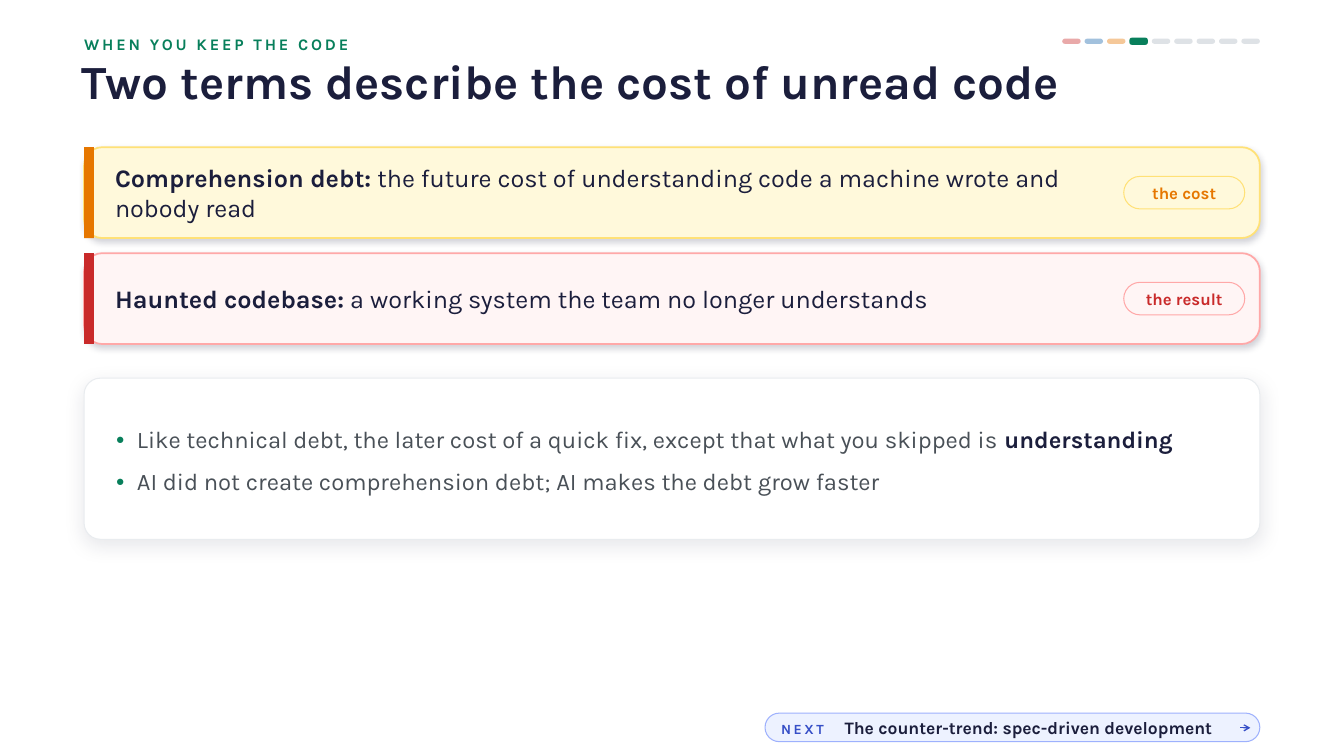
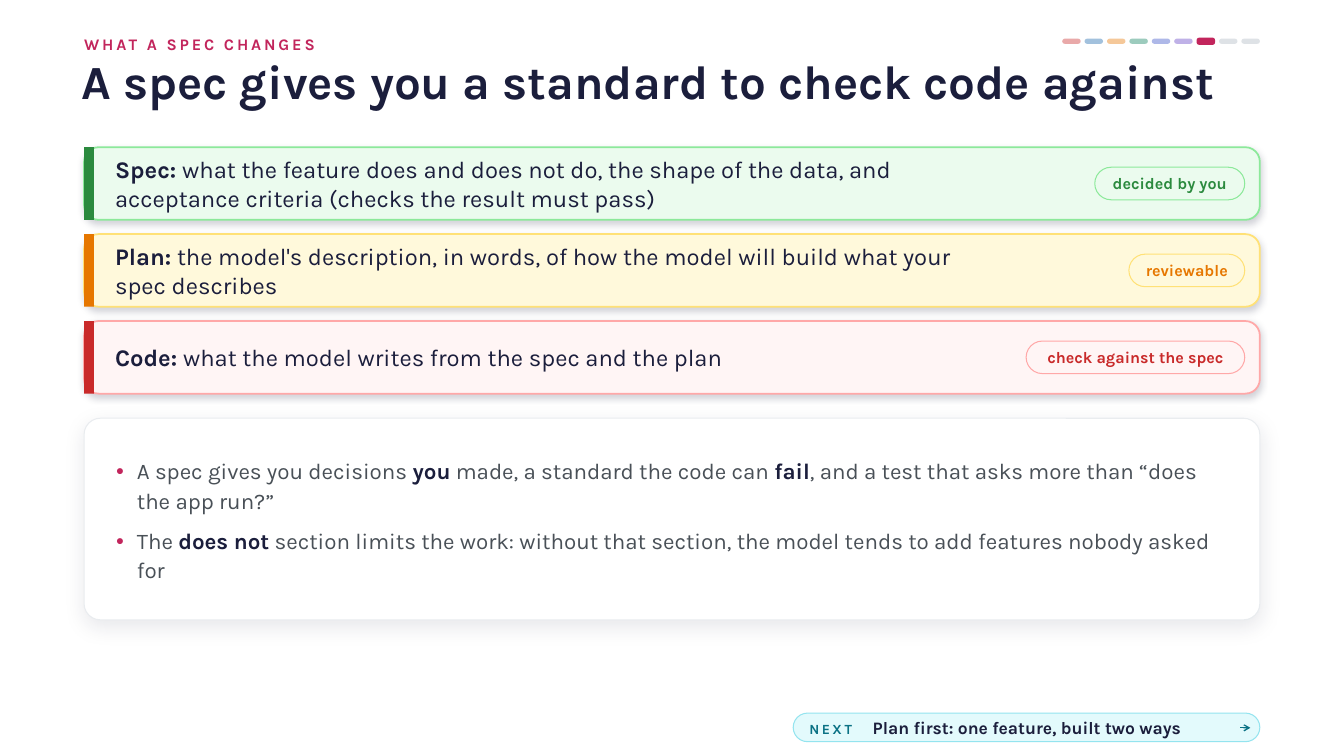
"""Build two slides about unread code and specs."""
from lxml.etree import SubElement
from pptx import Presentation
from pptx.dml.color import RGBColor as Rgb
from pptx.enum.shapes import MSO_CONNECTOR as Link, MSO_SHAPE as Form
from pptx.enum.text import MSO_ANCHOR as Anchor, MSO_AUTO_SIZE as Fit, PP_ALIGN as Align
from pptx.oxml.ns import qn
from pptx.util import Cm, Pt

FONT = "Karla"
COLORS = {
    "ink": "1B1E3C", "body": "495057", "white": "FFFFFF", "edge": "E9ECEF", "idle": "DEE2E6",
    "red": "C92A2A", "blue": "1864AB", "orange": "E67700", "teal": "087F5B",
    "indigo": "364FC7", "violet": "5F3DC4", "pink": "C2255C", "green": "2B8A3E",
    "cyan": "0B7285", "red_fill": "FFF5F5", "red_edge": "FFA8A8",
    "orange_fill": "FFF9DB", "orange_edge": "FFE176", "green_fill": "EBFBEE",
    "green_edge": "8CE99A", "indigo_fill": "EDF2FF", "indigo_edge": "9EB1FD",
    "cyan_fill": "E3FAFC", "cyan_edge": "94E4EF",
}
TOPICS = ["red", "blue", "orange", "teal", "indigo", "violet", "pink"]
STEPS = 9
LEFT, RIGHT = 2.12, 31.75
WIDTH = RIGHT - LEFT

PAGES = [
    {
        "title": "Two terms describe the cost of unread code",
        "eyebrow": "WHEN YOU KEEP THE CODE", "topic": "teal",
        "cards": [
            ("orange", "Comprehension debt:",
             " the future cost of understanding code a machine wrote and nobody read",
             "the cost", 3.05),
            ("red", "Haunted codebase:", " a working system the team no longer understands",
             "the result", 3.05),
        ],
        "card": {"height": 2.29, "text_width": 24.38, "size": 18, "pill_size": 12},
        "gap": 0.38,
        "panel": {"top": 9.53, "height": 4.06, "size": 17},
        "points": [
            ["Like technical debt, the later cost of a quick fix, except that what you skipped is ",
             "understanding"],
            ["AI did not create comprehension debt; AI makes the debt grow faster"],
        ],
        "next": ("The counter-trend: spec-driven development", "indigo", 12.47),
    },
    {
        "title": "A spec gives you a standard to check code against",
        "eyebrow": "WHAT A SPEC CHANGES", "topic": "pink",
        "cards": [
            ("green", "Spec:",
             " what the feature does and does not do, the shape of the data, and acceptance "
             "criteria (checks the result must pass)", "decided by you", 3.78),
            ("orange", "Plan:",
             " the model's description, in words, of how the model will build what your spec "
             "describes", "reviewable", 2.92),
            ("red", "Code:", " what the model writes from the spec and the plan",
             "check against the spec", 5.51),
        ],
        "card": {"height": 1.83, "text_width": 21.84, "size": 17, "pill_size": 11.5},
        "gap": 0.36,
        "panel": {"top": 10.54, "height": 5.08, "size": 16},
        "points": [
            ["A spec gives you decisions ", "you", " made, a standard the code can ", "fail",
             ", and a test that asks more than “does the app run?”"],
            ["The ", "does not", " section limits the work: without that section, the model "
             "tends to add features nobody asked for"],
        ],
        "next": ("Plan first: one feature, built two ways", "cyan", 11.76),
    },
]


def rgb(name):
    """Return the named colour."""
    return Rgb.from_string(COLORS[name])


def write(para, text, size=18, color="ink", bold=False, spacing=0):
    """Add a formatted span of text to a paragraph."""
    span = para.add_run()
    span.text = text
    font = span.font
    font.name, font.size, font.bold = FONT, Pt(size), bold
    font.color.rgb = rgb(color)
    if spacing:
        font._element.set("spc", str(round(spacing * 100)))


def prepare(box, align=Align.LEFT, wrap=True, left=0, right=0):
    """Set up the text frame of a box and return its first paragraph."""
    frame = box.text_frame
    frame.auto_size, frame.word_wrap = Fit.NONE, wrap
    frame.vertical_anchor = Anchor.MIDDLE
    frame.margin_left, frame.margin_right = Cm(left), Cm(right)
    frame.margin_top = frame.margin_bottom = 0
    para = frame.paragraphs[0]
    para.alignment = align
    return para


def place(box, left, top, width, height):
    """Move and size a box."""
    box.left, box.top, box.width, box.height = map(Cm, (left, top, width, height))


def add_label(page, left, top, width, height):
    """Add a text box and return its paragraph."""
    return prepare(page.shapes.add_textbox(*map(Cm, (left, top, width, height))))


def add_block(page, left, top, width, height, fill, edge=None, weight=0.75,
              corner=None, alpha=None, shadow=None):
    """Add a filled rectangle, rounded when a corner ratio is given."""
    form = Form.RECTANGLE if corner is None else Form.ROUNDED_RECTANGLE
    box = page.shapes.add_shape(form, *map(Cm, (left, top, width, height)))
    if corner is not None:
        box.adjustments[0] = corner
    box.fill.solid()
    box.fill.fore_color.rgb = rgb(fill)
    if edge:
        box.line.color.rgb = rgb(edge)
        box.line.width = Pt(weight)
    else:
        box.line.fill.background()
    box.shadow.inherit = False
    properties = box._element.spPr
    if alpha:
        tint = properties.find(qn("a:solidFill")).find(qn("a:srgbClr"))
        SubElement(tint, qn("a:alpha"), val=str(alpha * 1000))
    if shadow:
        opacity, blur, distance = shadow
        outer = SubElement(properties.find(qn("a:effectLst")), qn("a:outerShdw"),
                           blurRad=str(Pt(blur)), dist=str(Pt(distance)), dir="5400000",
                           algn="ctr", rotWithShape="0")
        tint = SubElement(outer, qn("a:srgbClr"), val=COLORS["ink"])
        SubElement(tint, qn("a:alpha"), val=str(opacity * 1000))
    return box


def add_heading(page, title, eyebrow, topic):
    """Fill the title placeholder and the line above it."""
    place(page.shapes.title, LEFT - 0.06, 1.37, WIDTH + 0.06, 1.52)
    para = prepare(page.shapes.title)
    para.line_spacing = 0.9
    write(para, title, size=34, bold=True)
    write(add_label(page, LEFT, 0.81, 22.94, 0.61), eyebrow,
          size=11.5, color=topic, bold=True, spacing=2)


def add_progress(page, topic, left=26.77, middle=1.04, gap=0.1):
    """Draw the row of step marks with the current topic raised."""
    current = TOPICS.index(topic)
    width = (RIGHT - left - gap * (STEPS - 1)) / STEPS
    for step in range(STEPS):
        color = TOPICS[step] if step <= current else "idle"
        height, corner = (0.18, 0.35) if step == current else (0.13, 0.5)
        add_block(page, left + step * (width + gap), middle - height / 2, width, height, color,
                  corner=corner, alpha=40 if step < current else None)


def add_card(page, top, content, height, text_width, size, pill_size):
    """Draw a coloured definition card with a pill at its right."""
    hue, term, meaning, tag, pill_width = content
    fill, edge = f"{hue}_fill", f"{hue}_edge"
    add_block(page, LEFT, top, WIDTH, height, fill, edge, 1.25, corner=0.2, shadow=(20, 5, 2))
    add_block(page, LEFT, top, 0.25, height, hue)
    para = add_label(page, LEFT + 0.78, top, text_width, height)
    write(para, term, size=size, bold=True)
    write(para, meaning, size=size)
    pill_height = 0.82
    pill = add_block(page, RIGHT - 0.38 - pill_width, top + (height - pill_height) / 2,
                     pill_width, pill_height, fill, edge, corner=0.5)
    write(prepare(pill, Align.CENTER, wrap=False), tag, size=pill_size, color=hue, bold=True)


def add_bullet(para, color):
    """Give a paragraph a hanging coloured bullet."""
    properties = para._p.get_or_add_pPr()
    properties.set("marL", str(Cm(0.53)))
    properties.set("indent", str(-Cm(0.53)))
    tint = SubElement(properties, qn("a:buClr"))
    SubElement(tint, qn("a:srgbClr"), val=COLORS[color])
    SubElement(properties, qn("a:buSzPct"), val="62000")
    SubElement(properties, qn("a:buChar"), char="●")


def add_panel(page, points, topic, top, height, size):
    """Draw the white panel and set the body list on it."""
    add_block(page, LEFT, top, WIDTH, height, "white", "edge",
              corner=0.41 / height, shadow=(10, 14, 4))
    body = page.placeholders[1]
    page.shapes._spTree.append(body._element)
    place(body, LEFT + 0.8, top + 0.25, 28.19, height - 0.5)
    para = prepare(body)
    for number, parts in enumerate(points):
        if number:
            para = body.text_frame.add_paragraph()
        add_bullet(para, topic)
        para.line_spacing = 1.08
        para.space_before = Pt(8 if number else 0)
        for index, part in enumerate(parts):
            strong = index % 2 == 1
            write(para, part, size=size, color="ink" if strong else "body", bold=strong)


def add_next(page, text, hue, width, top=17.97, height=0.72):
    """Draw the pill that announces the next topic."""
    pill = add_block(page, RIGHT - width, top, width, height, f"{hue}_fill", f"{hue}_edge",
                     corner=0.5)
    para = prepare(pill, left=0.3, right=0.5)
    stops = SubElement(para._p.get_or_add_pPr(), qn("a:tabLst"))
    SubElement(stops, qn("a:tab"), pos=str(Cm(1.6)), algn="l")
    write(para, "NEXT\t", size=10, color=hue, bold=True, spacing=1.8)
    write(para, text, size=12.5, bold=True)
    middle = top + height / 2 + 0.01
    arrow = page.shapes.add_connector(
        Link.STRAIGHT, *map(Cm, (RIGHT - 0.49, middle, RIGHT - 0.24, middle)))
    arrow.line.color.rgb = rgb(hue)
    arrow.line.width = Pt(0.92)
    SubElement(arrow.line._get_or_add_ln(), qn("a:tailEnd"), type="arrow", w="sm", len="sm")
    SubElement(arrow._element.spPr, qn("a:effectLst"))


def build_page(deck, content):
    """Build one slide of cards, list and next pill."""
    page = deck.slides.add_slide(deck.slide_layouts[1])
    topic, card = content["topic"], content["card"]
    add_heading(page, content["title"], content["eyebrow"], topic)
    add_progress(page, topic)
    for row, entry in enumerate(content["cards"]):
        add_card(page, 3.71 + row * (card["height"] + content["gap"]), entry, **card)
    add_panel(page, content["points"], topic, **content["panel"])
    add_next(page, *content["next"])


def main():
    """Build and save the deck."""
    deck = Presentation()
    deck.slide_width, deck.slide_height = Cm(33.87), Cm(19.05)
    for content in PAGES:
        build_page(deck, content)
    deck.save("out.pptx")


if __name__ == "__main__":
    main()
